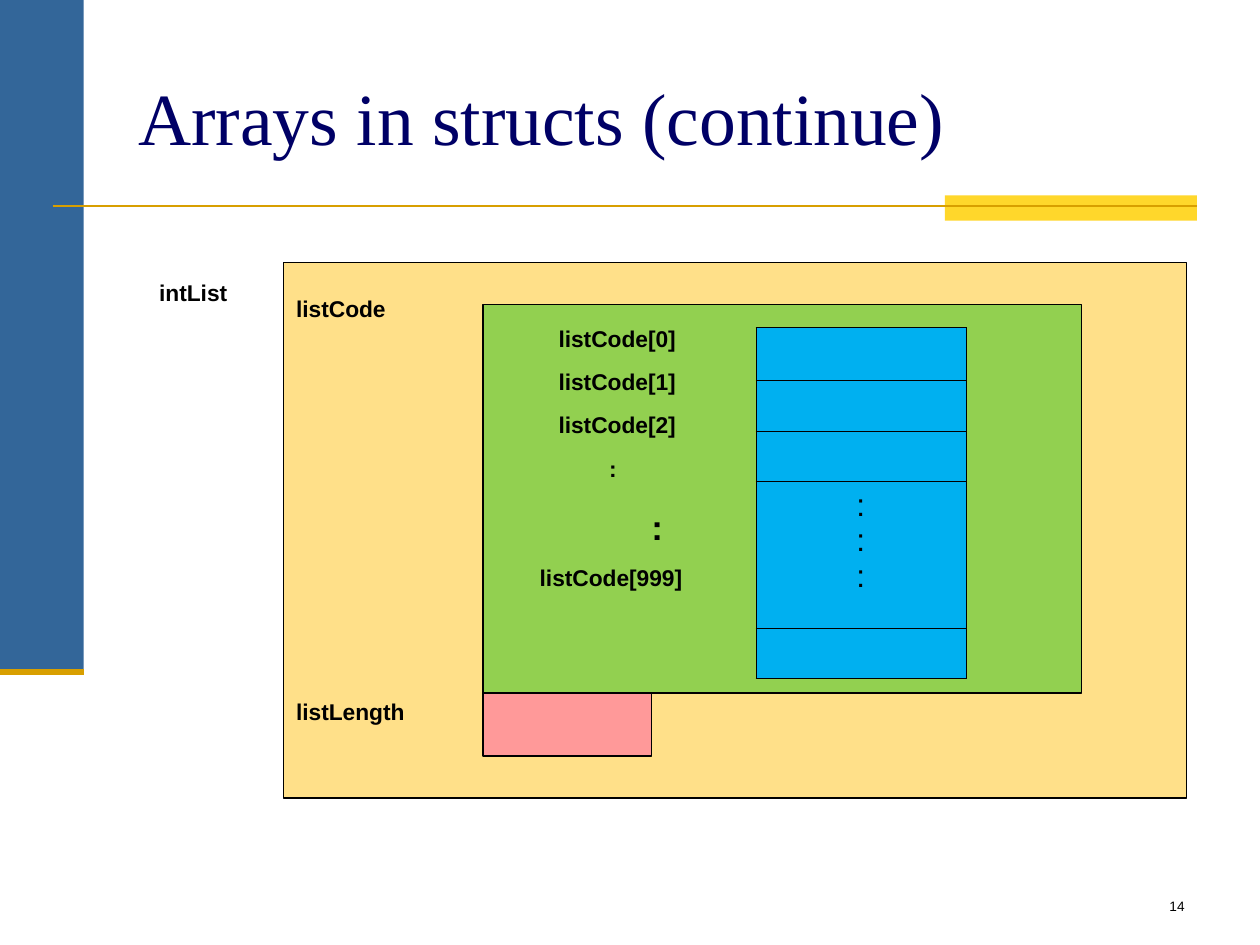
from lxml import etree
from pptx import Presentation
from pptx.dml.color import RGBColor
from pptx.enum.shapes import MSO_CONNECTOR, MSO_SHAPE
from pptx.enum.text import MSO_ANCHOR, PP_ALIGN
from pptx.oxml.ns import qn
from pptx.util import Cm, Pt

RECTANGLE = MSO_SHAPE.RECTANGLE
STRAIGHT = MSO_CONNECTOR.STRAIGHT
TOP, MIDDLE = MSO_ANCHOR.TOP, MSO_ANCHOR.MIDDLE
LEFT, RIGHT = PP_ALIGN.LEFT, PP_ALIGN.RIGHT

BLACK = RGBColor(0x00, 0x00, 0x00)
NAVY = RGBColor(0x00, 0x00, 0x66)
STEEL = RGBColor(0x33, 0x66, 0x99)
YELLOW = RGBColor(0xFF, 0xD7, 0x2B)
GOLD = RGBColor(0xD8, 0x9F, 0x00)
CREAM = RGBColor(0xFF, 0xE0, 0x89)
GREEN = RGBColor(0x92, 0xD0, 0x50)
PINK = RGBColor(0xFF, 0x99, 0x99)
BLUE = RGBColor(0x00, 0xB0, 0xF0)

LABEL = {"size": Pt(13), "bold": True}

# Boxes are (left, top, width, height) in cm
SIDEBAR = (0, 0, 1.69, 13.55)
ACCENT = (19.05, 3.94, 5.08, 0.51)
RULES = [((1.06, 4.15), (24.13, 4.15), 1.5),
         ((0, 13.55), (1.69, 13.55), 3.5)]
STRUCT_BOX = (5.72, 5.29, 18.2, 10.8)
ARRAY_BOX = (9.74, 6.14, 12.06, 7.83)
LENGTH_BOX = (9.74, 13.97, 3.39, 1.27)

TEXT_BOXES = [
    ("14", (18.85, 17.98, 5.28, 0.64), {"size": Pt(7.8)}, RIGHT, TOP),
    ("Arrays in structs (continue)", (2.54, 0.76, 21.59, 3.18),
     {"size": Pt(42), "name": "Times New Roman", "color": NAVY}, LEFT, MIDDLE),
    ("intList", (2.96, 5.5, 2.54, 0.81), LABEL, LEFT, TOP),
]

# Each member: text, space before in points
MEMBERS = [("listCode", 0), ("listLength", 215)]
# Each element: text, indent in cm, size in points
ELEMENTS = [("listCode[0]", 1.27, 13), ("listCode[1]", 1.27, 13),
            ("listCode[2]", 1.27, 13), (":", 2.29, 13),
            (":", 3.14, 20), ("listCode[999]", 0.89, 13)]

TABLE_LEFT, TABLE_TOP, TABLE_WIDTH = 15.24, 6.6, 4.24
ROW_HEIGHTS = [1.07, 1.02, 1.02, 2.95, 1.02]
DOTS_ROW, DOTS, DOTS_INDENT = 3, [":", ":", ":"], 1.77


def add_rectangle(slide, box, fill, outlined=False):
    shape = slide.shapes.add_shape(RECTANGLE, *map(Cm, box))
    shape.shadow.inherit = False
    shape.fill.solid()
    shape.fill.fore_color.rgb = fill
    if outlined:
        shape.line.color.rgb = BLACK
        shape.line.width = Pt(0.75)
    else:
        shape.line.fill.background()
    return shape


def add_rule(slide, start, end, width):
    line = slide.shapes.add_connector(STRAIGHT, *map(Cm, start + end))
    line.line.color.rgb = GOLD
    line.line.width = Pt(width)
    etree.SubElement(line._element.spPr, qn("a:effectLst"))


def write_paragraphs(frame, lines):
    """Write (text, font values, paragraph values, indent in cm) lines."""
    for index, (text, font_values, layout, indent) in enumerate(lines):
        paragraph = frame.add_paragraph() if index else frame.paragraphs[0]
        run = paragraph.add_run()
        run.text = text
        values = {"name": "Arial", "color": BLACK, **font_values}
        run.font.color.rgb = values.pop("color")
        for name, value in values.items():
            setattr(run.font, name, value)
        for name, value in {"alignment": LEFT, **layout}.items():
            setattr(paragraph, name, value)
        if indent:
            paragraph._p.get_or_add_pPr().set("marL", str(Cm(indent)))


def write_top(shape, lines):
    frame = shape.text_frame
    frame.word_wrap = True
    frame.vertical_anchor = TOP
    write_paragraphs(frame, lines)


def add_borders(cell):
    properties = cell._tc.get_or_add_tcPr()
    for index, side in enumerate(("lnL", "lnR", "lnT", "lnB")):
        border = etree.Element(qn(f"a:{side}"), w=str(Pt(0.45)))
        fill = etree.SubElement(border, qn("a:solidFill"))
        etree.SubElement(fill, qn("a:srgbClr"), val=str(BLACK))
        properties.insert(index, border)


def add_array_table(slide):
    table = slide.shapes.add_table(
        len(ROW_HEIGHTS), 1, Cm(TABLE_LEFT), Cm(TABLE_TOP),
        Cm(TABLE_WIDTH), Cm(sum(ROW_HEIGHTS))).table
    table.first_row = table.horz_banding = False
    for index, height in enumerate(ROW_HEIGHTS):
        table.rows[index].height = Cm(height)
        cell = table.cell(index, 0)
        cell.fill.solid()
        cell.fill.fore_color.rgb = BLUE
        add_borders(cell)
    write_paragraphs(table.cell(DOTS_ROW, 0).text_frame,
                     [(dot, {"size": Pt(18)}, {}, DOTS_INDENT) for dot in DOTS])


def main():
    presentation = Presentation()
    presentation.slide_width, presentation.slide_height = Cm(25.4), Cm(19.05)
    slide = presentation.slides.add_slide(presentation.slide_layouts[6])

    add_rectangle(slide, SIDEBAR, STEEL)
    add_rectangle(slide, ACCENT, YELLOW)
    for rule in RULES:
        add_rule(slide, *rule)

    for text, box, font_values, alignment, anchor in TEXT_BOXES:
        frame = slide.shapes.add_textbox(*map(Cm, box)).text_frame
        frame.word_wrap = True
        frame.vertical_anchor = anchor
        write_paragraphs(frame, [(text, font_values, {"alignment": alignment}, 0)])

    struct = add_rectangle(slide, STRUCT_BOX, CREAM, outlined=True)
    struct.text_frame.margin_top = Cm(0.65)
    write_top(struct, [(text, LABEL, {"space_before": Pt(gap)}, 0)
                       for text, gap in MEMBERS])

    array = add_rectangle(slide, ARRAY_BOX, GREEN, outlined=True)
    spacing = {"line_spacing": 1.5, "space_after": Pt(1.4)}
    write_top(array, [(text, {**LABEL, "size": Pt(size)}, spacing, indent)
                      for text, indent, size in ELEMENTS])

    add_array_table(slide)
    add_rectangle(slide, LENGTH_BOX, PINK, outlined=True)
    presentation.save("out.pptx")


if __name__ == "__main__":
    main()
